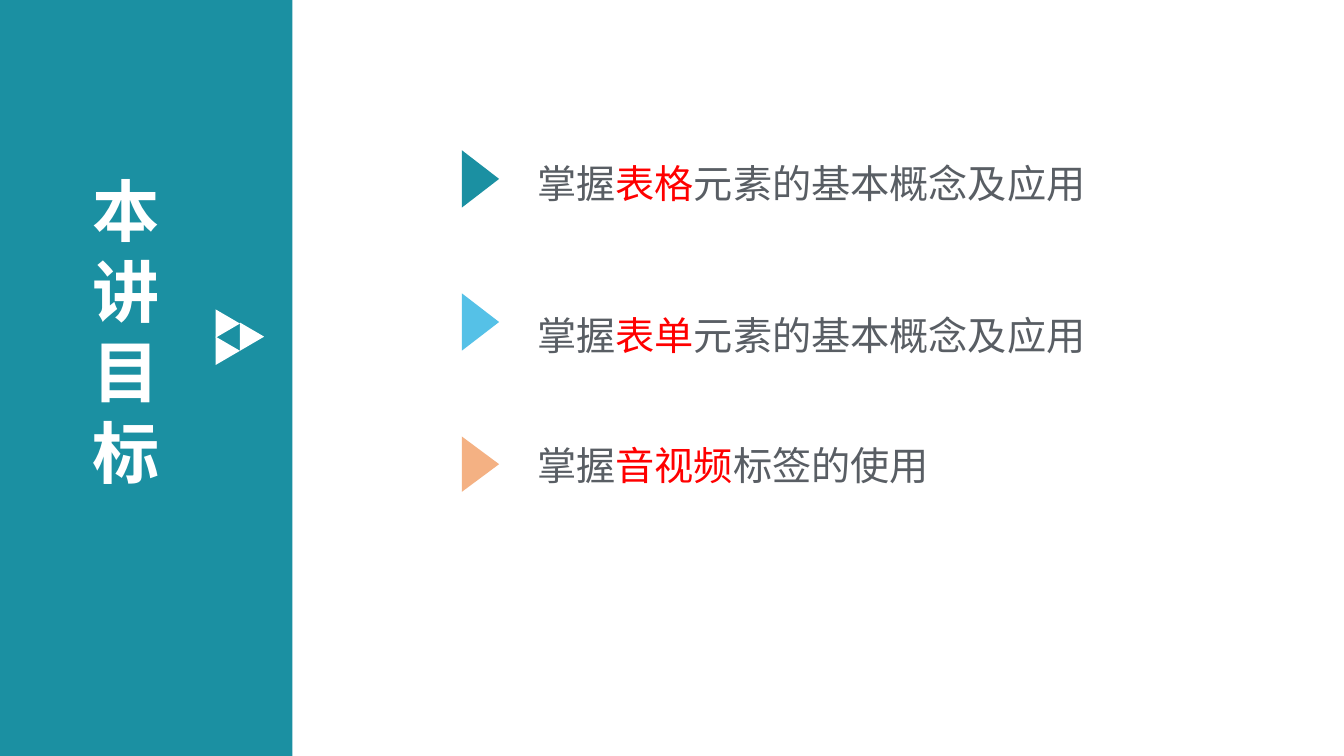
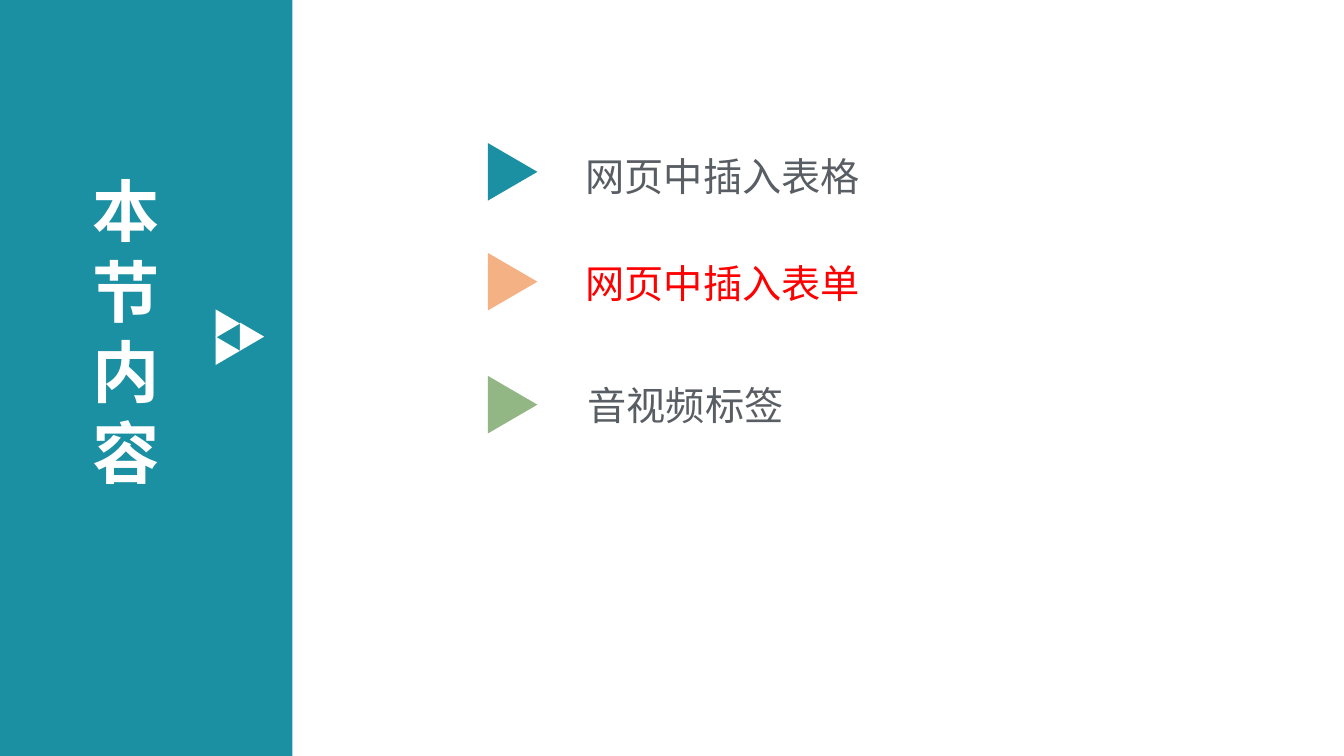
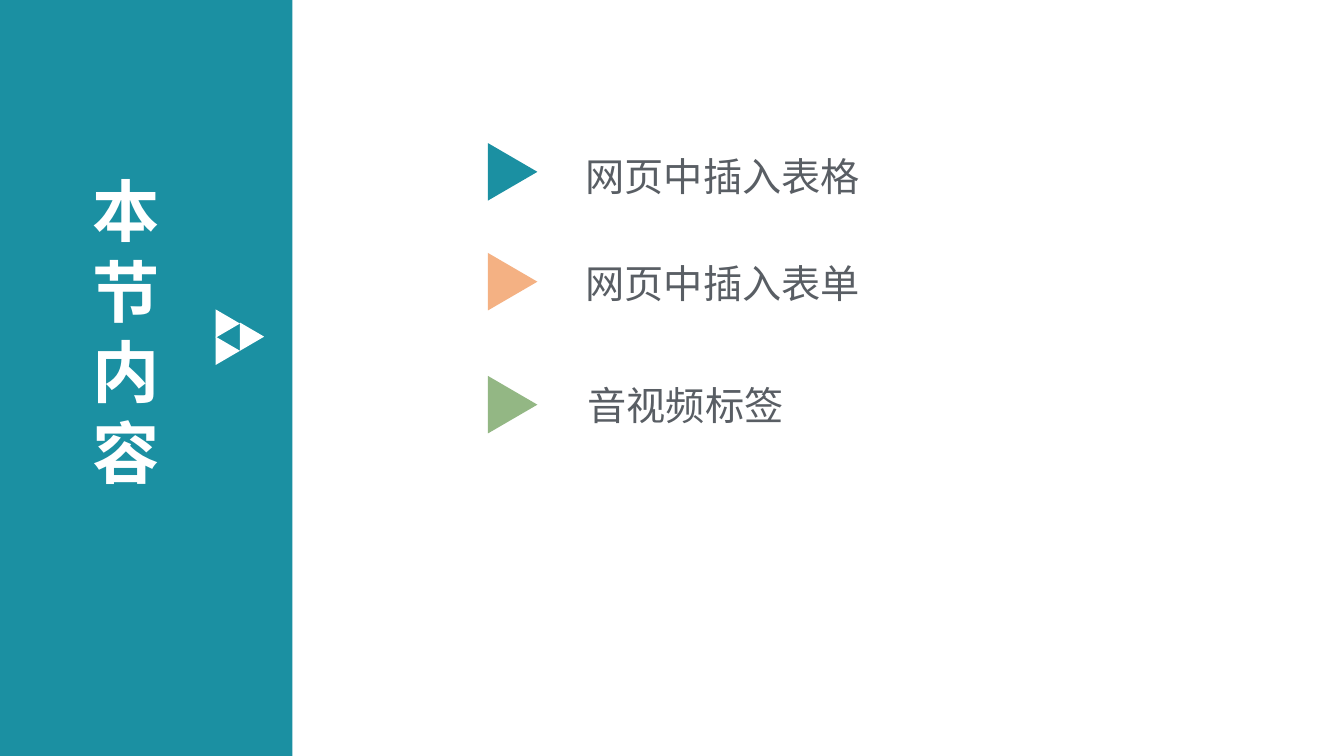
from dataclasses import dataclass

from lxml import etree
from pptx import Presentation
from pptx import util as u
from pptx.dml.color import RGBColor
from pptx.enum import shapes, text
from pptx.oxml import ns

EMU_PER_PX = 9144
SLIDE_WIDTH, SLIDE_HEIGHT = 1333, 750
BAND_WIDTH = 290
FONT = "Noto Sans CJK SC"
TEAL, SKY, PEACH, SAGE = "1B90A2", "55C1E7", "F4B183", "93B784"
WHITE, GREY, RED = "FFFFFF", "595E64", "FF0000"
EMBLEM_CORNERS = ((214, 307), (214, 334), (238, 320))


@dataclass(frozen=True)
class Box:
    left: int
    top: int
    width: int
    height: int


@dataclass(frozen=True)
class Item:
    arrow: Box
    arrow_color: str
    label: Box
    wording: str
    highlight: str = ""
    line_spacing: float = 1.0


def px(length: float) -> u.Emu:
    return u.Emu(round(length * EMU_PER_PX))


def rgb(color: str) -> RGBColor:
    return RGBColor.from_string(color)


def add_filled(slide, preset, left: float, top: float, width: int, height: int, color: str):
    shape = slide.shapes.add_shape(preset, px(left), px(top), px(width), px(height))
    shape.shadow.inherit = False
    shape.fill.solid()
    shape.fill.fore_color.rgb = rgb(color)
    shape.line.fill.background()
    return shape


def add_arrow(slide, box: Box, color: str) -> None:
    shift = (box.width - box.height) / 2
    triangle = add_filled(slide, shapes.MSO_SHAPE.ISOSCELES_TRIANGLE, box.left + shift,
                          box.top - shift, box.height, box.width, color)
    triangle.rotation = 90


def add_label(slide, box: Box, wording: str, size: int, color: str, highlight: str = "",
              bold: bool = False, line_spacing: float = 1.0) -> None:
    shape = slide.shapes.add_textbox(px(box.left), px(box.top), px(box.width), px(box.height))
    frame = shape.text_frame
    frame.word_wrap = True
    frame.auto_size = text.MSO_AUTO_SIZE.SHAPE_TO_FIT_TEXT
    paragraph = frame.paragraphs[0]
    paragraph.line_spacing = line_spacing
    paragraph.font.size = u.Pt(size)
    paragraph.font.bold = bold
    paragraph.font.name = FONT
    defaults = paragraph._p.pPr.find(ns.qn("a:defRPr"))
    etree.SubElement(defaults, ns.qn("a:ea"), typeface=FONT)
    parts = wording.partition(highlight) if highlight else (wording,)
    for part in filter(None, parts):
        run = paragraph.add_run()
        run.text = part
        run.font.color.rgb = rgb(RED if part == highlight else color)


def add_list_slide(presentation, title: str, items: list[Item]) -> None:
    slide = presentation.slides.add_slide(presentation.slide_layouts[6])
    add_filled(slide, shapes.MSO_SHAPE.RECTANGLE, 0, 0, BAND_WIDTH, SLIDE_HEIGHT, TEAL)
    add_label(slide, Box(82, 163, 92, 333), title, 48, WHITE, bold=True)
    for left, top in EMBLEM_CORNERS:
        add_arrow(slide, Box(left, top, 24, 28), WHITE)
    for item in items:
        add_arrow(slide, item.arrow, item.arrow_color)
        add_label(slide, item.label, item.wording, 28, GREY, item.highlight,
                  line_spacing=item.line_spacing)


def goal_items() -> list[Item]:
    return [
        Item(Box(458, 149, 37, 57), TEAL, Box(523, 130, 572, 81),
             "掌握表格元素的基本概念及应用", "表格", 1.5),
        Item(Box(458, 291, 37, 57), SKY, Box(523, 281, 572, 81),
             "掌握表单元素的基本概念及应用", "表单", 1.5),
        Item(Box(458, 433, 37, 55), PEACH, Box(523, 433, 612, 57),
             "掌握音视频标签的使用", "音视频"),
    ]


def content_items(current: str = "") -> list[Item]:
    rows = (
        (142, TEAL, Box(571, 146, 330, 57), "网页中插入表格"),
        (251, PEACH, Box(571, 252, 330, 57), "网页中插入表单"),
        (373, SAGE, Box(573, 373, 486, 57), "音视频标签"),
    )
    return [Item(Box(484, top, 49, 57), color, label, wording,
                 current if wording == current else "")
            for top, color, label, wording in rows]


def main() -> None:
    presentation = Presentation()
    presentation.slide_width = px(SLIDE_WIDTH)
    presentation.slide_height = px(SLIDE_HEIGHT)
    add_list_slide(presentation, "本讲目标", goal_items())
    for current in ("网页中插入表单", ""):
        add_list_slide(presentation, "本节内容", content_items(current))
    presentation.save("out.pptx")


if __name__ == "__main__":
    main()
